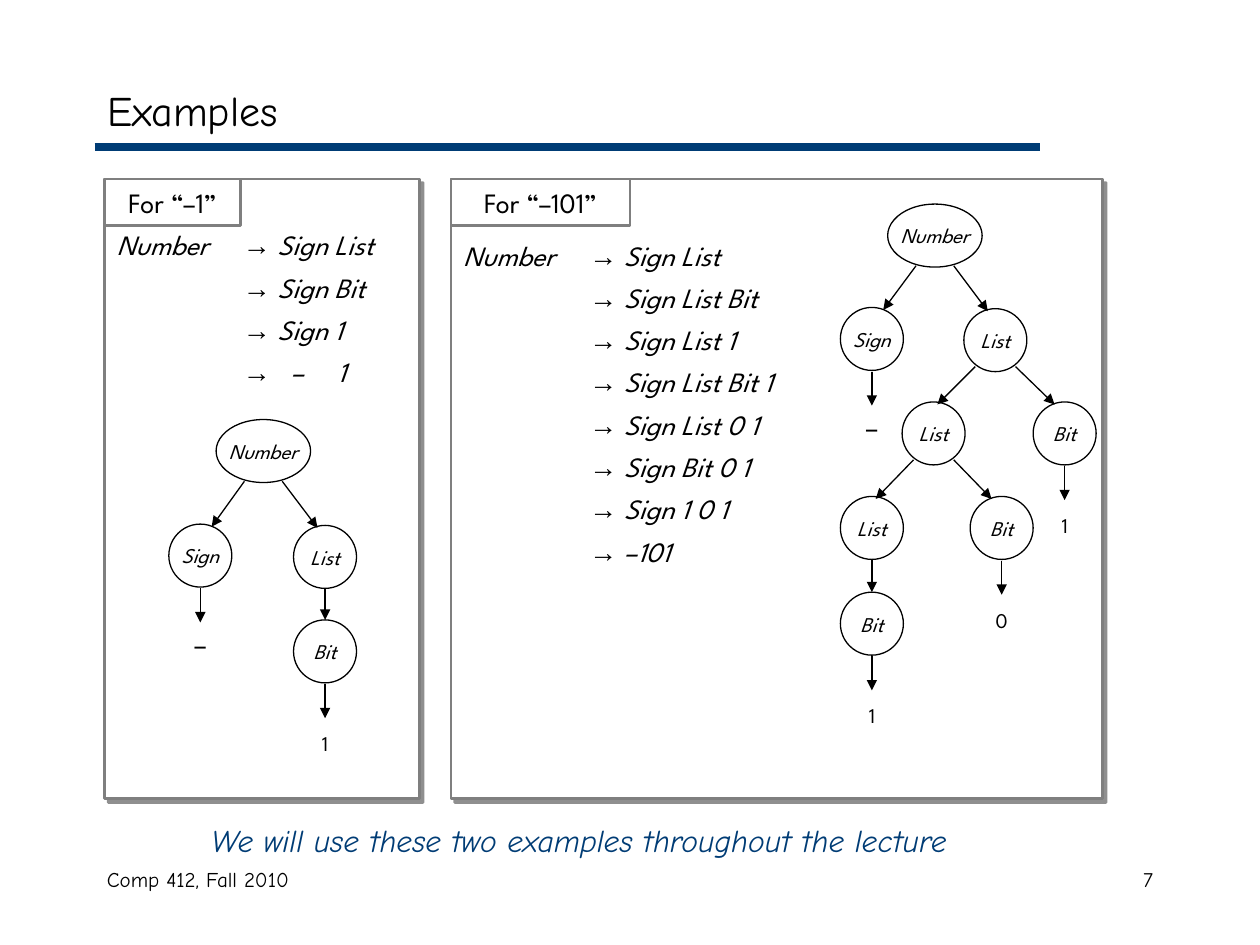
from dataclasses import dataclass

from lxml import etree
from pptx import Presentation
from pptx.dml.color import RGBColor
from pptx.enum.shapes import MSO_CONNECTOR, MSO_SHAPE
from pptx.enum.text import MSO_ANCHOR, PP_ALIGN
from pptx.oxml import parse_xml
from pptx.oxml.ns import nsdecls, qn
from pptx.util import Inches, Pt

LINE = MSO_CONNECTOR.STRAIGHT
RECT, OVAL = MSO_SHAPE.RECTANGLE, MSO_SHAPE.OVAL
TOP, MIDDLE = MSO_ANCHOR.TOP, MSO_ANCHOR.MIDDLE
LEFT, CENTER, RIGHT = PP_ALIGN.LEFT, PP_ALIGN.CENTER, PP_ALIGN.RIGHT


@dataclass(frozen=True)
class Theme:
    ink: RGBColor = RGBColor(0, 0, 0)
    navy: RGBColor = RGBColor(0x00, 0x3C, 0x75)
    grey: RGBColor = RGBColor(0x7F, 0x7F, 0x7F)
    white: RGBColor = RGBColor(0xFF, 0xFF, 0xFF)
    hand: str = "Comic Neue"
    sans: str = "League Spartan"
    sign: str = "Arial"
    title: int = 24
    note: int = 18
    body: int = 16
    small: int = 12


def box(*lengths):
    return [Inches(n) for n in lengths]


class Deck:
    """Holds the theme, the slide and the shape list that is being filled."""

    def __init__(self, slide, theme):
        self.slide, self.theme = slide, theme
        self.shapes = slide.shapes

    def group(self):
        self.shapes = self.slide.shapes.add_group_shape().shapes

    def style(self, para, size, face, italic=False, color=None, align=LEFT):
        para.alignment = align
        font = para.font
        font.size, font.name, font.italic = Pt(size), face, italic
        font.color.rgb = color or self.theme.ink

    def title(self, text, place):
        shape = self.slide.shapes.title
        shape.left, shape.top, shape.width, shape.height = box(*place)
        shape.text_frame.text = text
        shape.text_frame.vertical_anchor = MIDDLE
        self.style(shape.text_frame.paragraphs[0], self.theme.title, self.theme.hand)

    def text(self, text, place, size, face, **looks):
        frame = self.shapes.add_textbox(*box(*place)).text_frame
        frame.word_wrap = True
        frame.text = text
        self.style(frame.paragraphs[0], size, face, **looks)

    def line(self, start, end, color=None, width=0.75, arrow=True):
        line = self.shapes.add_connector(LINE, *box(*start, *end))
        line.line.color.rgb = color or self.theme.ink
        line.line.width = Pt(width)
        if arrow:
            etree.SubElement(line.line._get_or_add_ln(), qn("a:tailEnd"), type="triangle")
        etree.SubElement(line._element.spPr, qn("a:effectLst"))

    def shape(self, kind, place, color, width):
        shape = self.shapes.add_shape(kind, *box(*place))
        shape.shadow.inherit = False
        shape.fill.background()
        shape.line.color.rgb = color
        shape.line.width = Pt(width)
        return shape

    def panel(self, place):
        shape = self.shape(RECT, place, self.theme.grey, 1.5)
        shape.fill.solid()
        shape.fill.fore_color.rgb = self.theme.white
        shape._element.spPr.find(qn("a:effectLst")).append(parse_xml(
            f'<a:outerShdw {nsdecls("a")} blurRad="0" dist="{Pt(3)}" dir="2700000">'
            '<a:srgbClr val="000000"><a:alpha val="43000"/></a:srgbClr></a:outerShdw>'))

    def label(self, text, place):
        shape = self.shape(RECT, place, self.theme.grey, 1.5)
        shape.text_frame.text = text
        shape.text_frame.vertical_anchor = TOP
        self.style(shape.text_frame.paragraphs[0], self.theme.body, self.theme.sans, align=CENTER)

    def steps(self, rows, place):
        """Write a derivation: the start symbol, then one rewrite a row."""
        theme = self.theme
        frame = self.shapes.add_textbox(*box(*place)).text_frame
        frame.word_wrap = True
        for i, row in enumerate(rows):
            para = frame.add_paragraph() if i else frame.paragraphs[0]
            if i:
                para.space_before = Pt(5)
            tabs = etree.SubElement(para._p.get_or_add_pPr(), qn("a:tabLst"))
            for stop in (1, 1.38, 1.75):
                etree.SubElement(tabs, qn("a:tab"), pos=str(Inches(stop)), algn="l")
            self.style(para, theme.body, theme.sans, italic=True)
            para.add_run().text = "\t" if i else "Number \t"
            arrow = para.add_run()
            arrow.text, arrow.font.name = "→", theme.sign
            para.add_run().text = row

    def node(self, text, x, y):
        wide = 0.75 if text == "Number" else 0.5
        shape = self.shape(OVAL, (x - wide / 2, y - 0.25, wide, 0.5), self.theme.ink, 0.75)
        frame = shape.text_frame
        frame.word_wrap = False
        frame.text = text
        frame.vertical_anchor = MIDDLE
        self.style(frame.paragraphs[0], self.theme.small, self.theme.sans,
                   italic=True, align=CENTER)

    def leaf(self, text, x, y):
        """Put a terminal and its arrow below the node centred at x, y."""
        theme = self.theme
        self.line((x, y + 0.26), (x, y + 0.53))
        dash = text == "–"
        wide, drop, high = (0.5, 0.51, 0.37) if dash else (0.42, 0.58, 0.3)
        self.text(text, (x - wide / 2, y + drop, wide, high),
                  theme.body if dash else theme.small, theme.sans, align=CENTER)

    def tree(self, tree):
        """Draw (name, x, y, *children); a child that is a string is a terminal."""
        name, x, y, *kids = tree
        self.node(name, x, y)
        out, low, left, right = ((0.15, 0.24, 0.09, 0.06) if name == "Number"
                                 else (0.16, 0.21, 0.03, 0.08))
        for kid in kids:
            if isinstance(kid, str):
                self.leaf(kid, x, y)
                continue
            kx, ky = kid[1:3]
            if kx == x:
                self.line((x, y + 0.25), (x, ky - 0.25))
            elif kx < x:
                self.line((x - out, y + low), (kx + left, ky - 0.23))
            else:
                self.line((x + out, y + low), (kx - right, ky - 0.23))
            self.tree(kid)


SHORT = [" Sign List", " Sign Bit", " Sign 1", "\t–\t1"]
LONG = [" Sign List", " Sign List Bit", " Sign List 1", " Sign List Bit 1",
        " Sign List 0 1", " Sign Bit 0 1", " Sign 1 0 1", " –\t101"]

SMALL = ("Number", 2.09, 3.58,
         ("Sign", 1.59, 4.41, "–"),
         ("List", 2.58, 4.42, ("Bit", 2.58, 5.17, "1")))
LARGE = ("Number", 7.42, 1.87,
         ("Sign", 6.92, 2.69, "–"),
         ("List", 7.9, 2.7,
          ("List", 7.41, 3.44,
           ("List", 6.92, 4.19, ("Bit", 6.92, 4.95, "1")),
           ("Bit", 7.95, 4.19, "0")),
          ("Bit", 8.45, 3.44, "1")))

# left, panel width, label, label width, steps top, steps width, steps, tree
CASES = [
    (0.83, 2.5, "For “–1”", 1.08, 1.76, 2.5, SHORT, SMALL),
    (3.58, 5.17, "For “–101”", 1.42, 1.84, 3, LONG, LARGE),
]


def main():
    prs = Presentation()
    prs.slide_width, prs.slide_height = box(10, 7.5)
    theme = Theme()
    deck = Deck(prs.slides.add_slide(prs.slide_layouts[5]), theme)

    deck.title("Examples", (0.75, 0.58, 8.5, 0.58))
    deck.line((0.75, 1.17), (8.25, 1.17), theme.navy, 4.5, arrow=False)
    deck.text("Comp 412, Fall 2010", (0.75, 6.83, 3.17, 0.5), theme.small, theme.hand)
    deck.text("7", (7.17, 6.83, 2.08, 0.5), theme.small, theme.hand, align=RIGHT)
    deck.text("We will use these two examples throughout the lecture",
              (1.58, 6.47, 6.67, 0.4), theme.note, theme.hand,
              italic=True, color=theme.navy)

    for left, wide, name, tag, top, span, rows, tree in CASES:
        deck.group()
        deck.panel((left, 1.42, wide, 4.92))
        deck.steps(rows, (left, top, span, 0.1 + 0.335 * len(rows)))
        deck.tree(tree)
        deck.label(name, (left, 1.42, tag, 0.37))

    prs.save("out.pptx")


if __name__ == "__main__":
    main()
